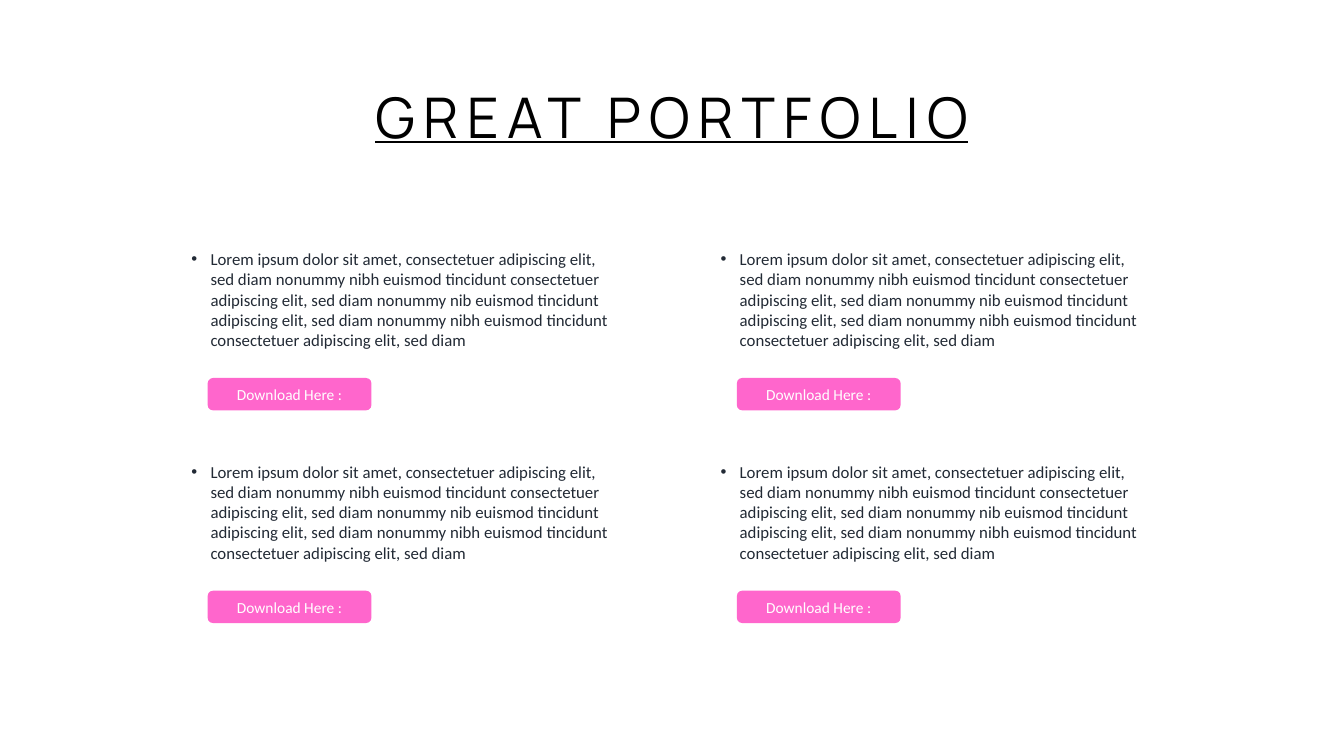
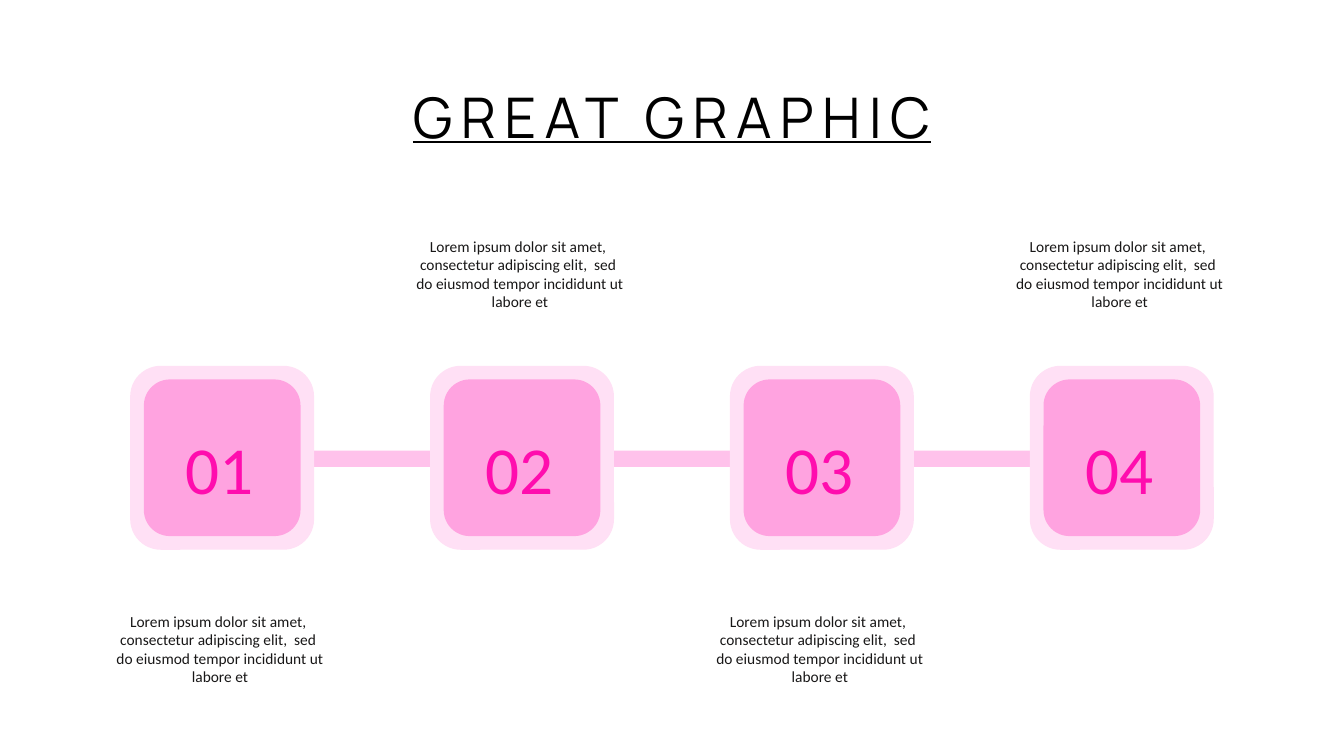
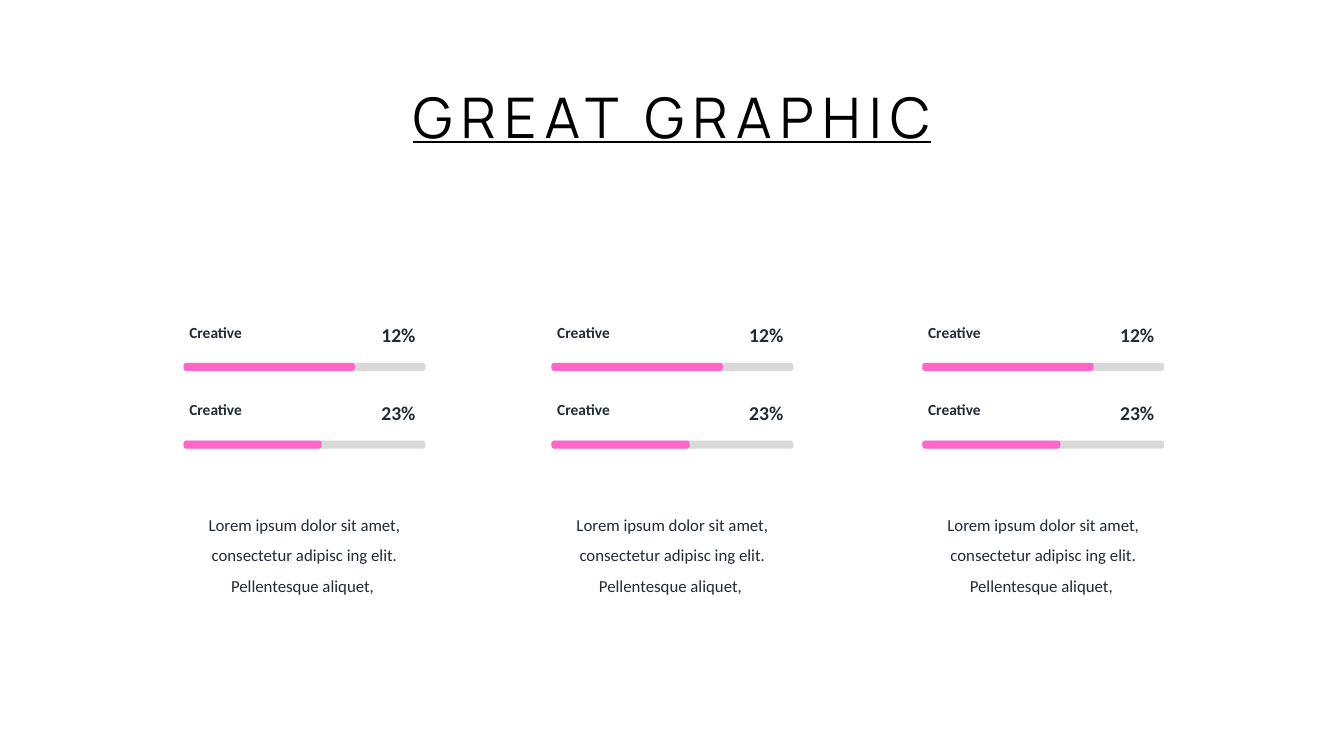
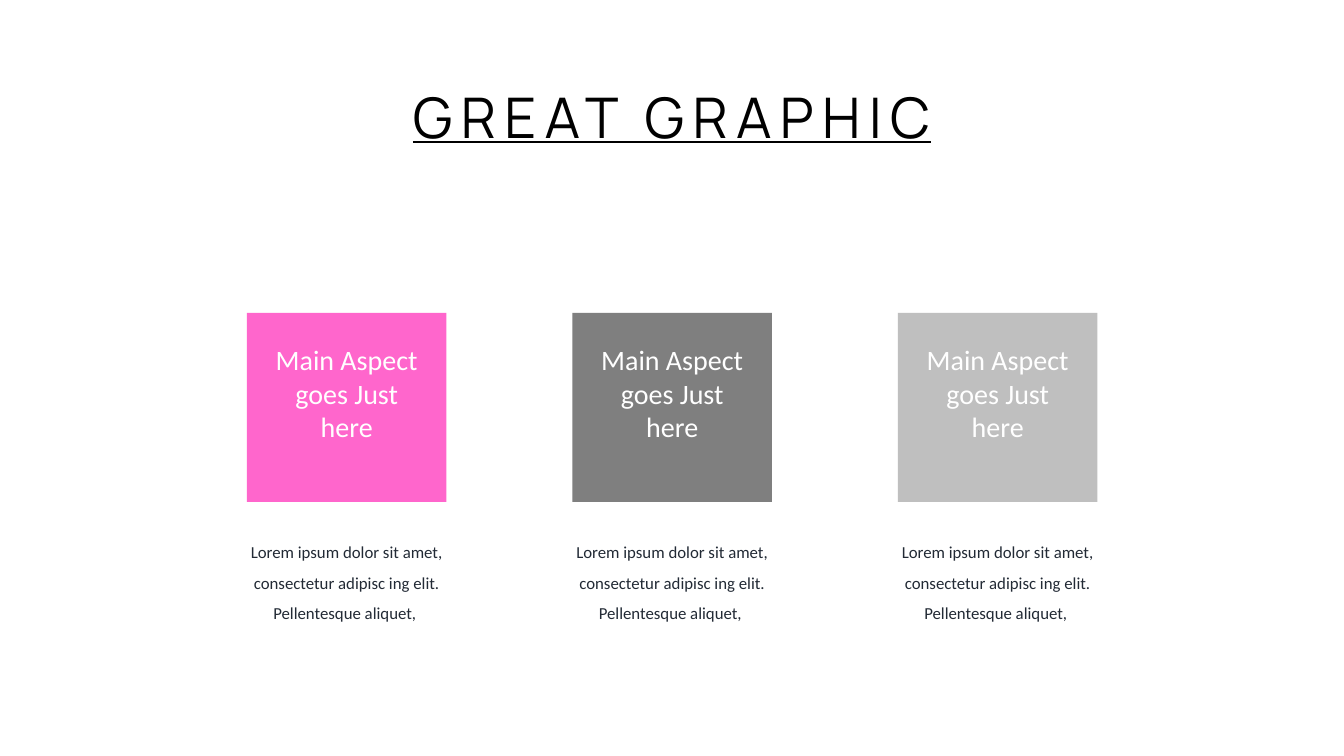
from itertools import product

from pptx import Presentation
from pptx.dml.color import RGBColor
from pptx.enum.shapes import MSO_SHAPE
from pptx.enum.text import MSO_ANCHOR, MSO_AUTO_SIZE, PP_ALIGN
from pptx.oxml.ns import qn
from pptx.util import Inches, Pt

RECT, ROUNDED = MSO_SHAPE.RECTANGLE, MSO_SHAPE.ROUNDED_RECTANGLE
LEFT, CENTER, RIGHT = PP_ALIGN.LEFT, PP_ALIGN.CENTER, PP_ALIGN.RIGHT
MIDDLE = MSO_ANCHOR.MIDDLE
GROW = MSO_AUTO_SIZE.SHAPE_TO_FIT_TEXT

# Grid of square cells that covers the slide
COLS, ROWS = 64, 36
WIDTH, HEIGHT = 13.33, 7.5

# Palette
PINK, HOT_PINK = "FF66CC", "FF0DAE"
ROSE, BLUSH, MIST = "FFA3E0", "FFE0F5", "FFC2EB"
DARK_GRAY, GRAY, LIGHT_GRAY = "7F7F7F", "BFBFBF", "D9D9D9"
WHITE, BLACK, INK, SLATE = "FFFFFF", "000000", "181717", "222A35"

# Text styles
TITLE = {"name": "Manrope", "size": Pt(40), "underline": True, "color": BLACK}
BODY = {"name": "Calibri", "size": Pt(12), "color": SLATE}
BUTTON = {**BODY, "size": Pt(11), "color": WHITE}
NUMBER = {**BODY, "size": Pt(48), "color": HOT_PINK}
CAPTION = {**BODY, "size": Pt(11), "color": INK}
LABEL = {**BODY, "size": Pt(11), "bold": True}
PERCENT = {**LABEL, "size": Pt(14)}
TILE = {**BODY, "size": Pt(20), "color": WHITE}

# Repeated wording
PORTFOLIO_TEXT = (
    "Lorem ipsum dolor sit amet, consectetuer adipiscing elit, sed diam nonummy "
    "nibh euismod tincidunt consectetuer adipiscing elit, sed diam nonummy nib "
    "euismod tincidunt adipiscing elit, sed diam nonummy nibh euismod tincidunt "
    "consectetuer adipiscing elit, sed diam"
)
STEP_LINES = [
    "Lorem ipsum dolor sit amet, ",
    "consectetur adipiscing elit,  sed ",
    "do eiusmod tempor incididunt ut",
    "labore et",
]
SHORT_TEXT = ("Lorem ipsum dolor sit amet, consectetur adipisc ing elit. "
              "Pellentesque aliquet, ")


def rgb(value):
    return RGBColor.from_string(value)


class Deck:
    """Holds the presentation, its style and the current slide."""

    def __init__(self):
        self.prs = Presentation()
        self.prs.slide_width = Inches(WIDTH)
        self.prs.slide_height = Inches(HEIGHT)
        self.s = None

    def frame(self, x, y, w, h):
        """Turn columns and rows into slide lengths."""
        cw, rh = self.prs.slide_width / COLS, self.prs.slide_height / ROWS
        return [round(v) for v in (x * cw, y * rh, w * cw, h * rh)]

    def fill_text(self, tf, lines, style, align):
        for i, line in enumerate(lines):
            p = tf.add_paragraph() if i else tf.paragraphs[0]
            p.alignment = align
            r = p.add_run()
            r.text = line
            for key, value in style.items():
                if key == "color":
                    r.font.color.rgb = rgb(value)
                else:
                    setattr(r.font, key, value)

    def text(self, box, lines, style, align=CENTER, spacing=None, wrap=True):
        sp = self.s.shapes.add_textbox(*self.frame(*box))
        tf = sp.text_frame
        tf.word_wrap, tf.auto_size = wrap, GROW
        self.fill_text(tf, lines, style, align)
        if spacing:
            for p in tf.paragraphs:
                p.line_spacing = spacing
        return tf

    def shape(self, kind, box, fill, corner=None):
        sp = self.s.shapes.add_shape(kind, *self.frame(*box))
        sp.shadow.inherit = False
        sp.fill.solid()
        sp.fill.fore_color.rgb = rgb(fill)
        sp.line.fill.background()
        if corner is not None:
            sp.adjustments[0] = corner
        return sp

    def slide(self, title, width):
        """Start a slide with its centred, letter-spaced title."""
        self.s = self.prs.slides.add_slide(self.prs.slide_layouts[6])
        self.s.background.fill.solid()
        self.s.background.fill.fore_color.rgb = rgb(WHITE)
        box = ((COLS - width) / 2, 3.7, width, 3.7)
        tf = self.text(box, [title], TITLE, wrap=False)
        tf.paragraphs[0].runs[0].font._element.set("spc", "600")

    def bullet(self, box, line):
        tf = self.text(box, [line], BODY, LEFT)
        pPr = tf.paragraphs[0]._p.get_or_add_pPr()
        indent = Inches(0.19)
        pPr.set("marL", str(indent))
        pPr.set("indent", str(-indent))
        for tag, key, value in (("a:buFont", "typeface", "Arial"),
                                ("a:buChar", "char", "•")):
            pPr.append(pPr.makeelement(qn(tag), {key: value}))

    def button(self, box, line):
        tf = self.shape(ROUNDED, box, PINK).text_frame
        tf.vertical_anchor = MIDDLE
        self.fill_text(tf, [line], BUTTON, CENTER)

    def blurb(self, center, y):
        w = 13.2
        self.text((center - w / 2, y, w, 4.7), [SHORT_TEXT], BODY, spacing=1.5)

    def meter(self, x, y, label, percent, filled):
        """Label and value above a track that is partly filled."""
        track, thick = 11.52, 0.38
        top = y - 2.14
        self.text((x - 0.2, top, 6.86, 1.39), [label], LABEL, LEFT)
        self.text((x + 8.16, top, 3.36, 1.63), [percent], PERCENT, RIGHT)
        for w, fill in ((track, LIGHT_GRAY), (filled, PINK)):
            self.shape(ROUNDED, (x, y, w, thick), fill, 0.35)


def portfolio(deck):
    deck.slide("GREAT PORTFOLIO", 31)
    for col, row in product(range(2), range(2)):
        x, y = 8.64 + col * 25.2, 11.62 + row * 10.13
        deck.button((x + 1.25, y + 6.38, 7.8, 1.54), "Download Here :")
        deck.bullet((x, y, 21.5, 5.33), PORTFOLIO_TEXT)


def steps(deck):
    deck.slide("GREAT GRAPHIC", 27.7)
    deck.shape(RECT, (6.86, 21.46, 50.3, 0.77), MIST)
    size, rim, top = 8.76, 0.65, 17.42
    for i in range(4):
        x = 6.2 + i * 14.28
        deck.shape(ROUNDED, (x, top, size, size), BLUSH)
        inner = size - 2 * rim
        deck.shape(ROUNDED, (x + rim, top + rim, inner, inner), ROSE)
        center = x + size / 2 - 0.1
        deck.text((center - 3, 20.11, 6, 4.5), [f"{i + 1:02}"], NUMBER)
        # Captions alternate below and above the chain
        y = 11.04 if i % 2 else 28.9
        deck.text((center - 8.5, y, 17, 4), STEP_LINES, CAPTION)


def meters(deck):
    deck.slide("GREAT GRAPHIC", 27.7)
    for x in (8.74, 26.26, 43.92):
        deck.meter(x, 17.28, "Creative", "12%", 8.16)
        deck.meter(x, 20.98, "Creative", "23%", 6.58)
        deck.blurb(x + 5.76, 23.8)


def aspects(deck):
    deck.slide("GREAT GRAPHIC", 27.7)
    w, pad = 9.5, 0.7
    for i, fill in enumerate((PINK, DARK_GRAY, GRAY)):
        x = 11.76 + i * 15.5
        deck.shape(RECT, (x, 14.9, w, 9), fill)
        deck.text((x + pad, 16.08, w - 2 * pad, 5.33),
                  ["Main Aspect goes Just here"], TILE)
        deck.blurb(x + w / 2, 25.1)


def main():
    deck = Deck()
    for build in (portfolio, steps, meters, aspects):
        build(deck)
    deck.prs.save("out.pptx")


if __name__ == "__main__":
    main()
